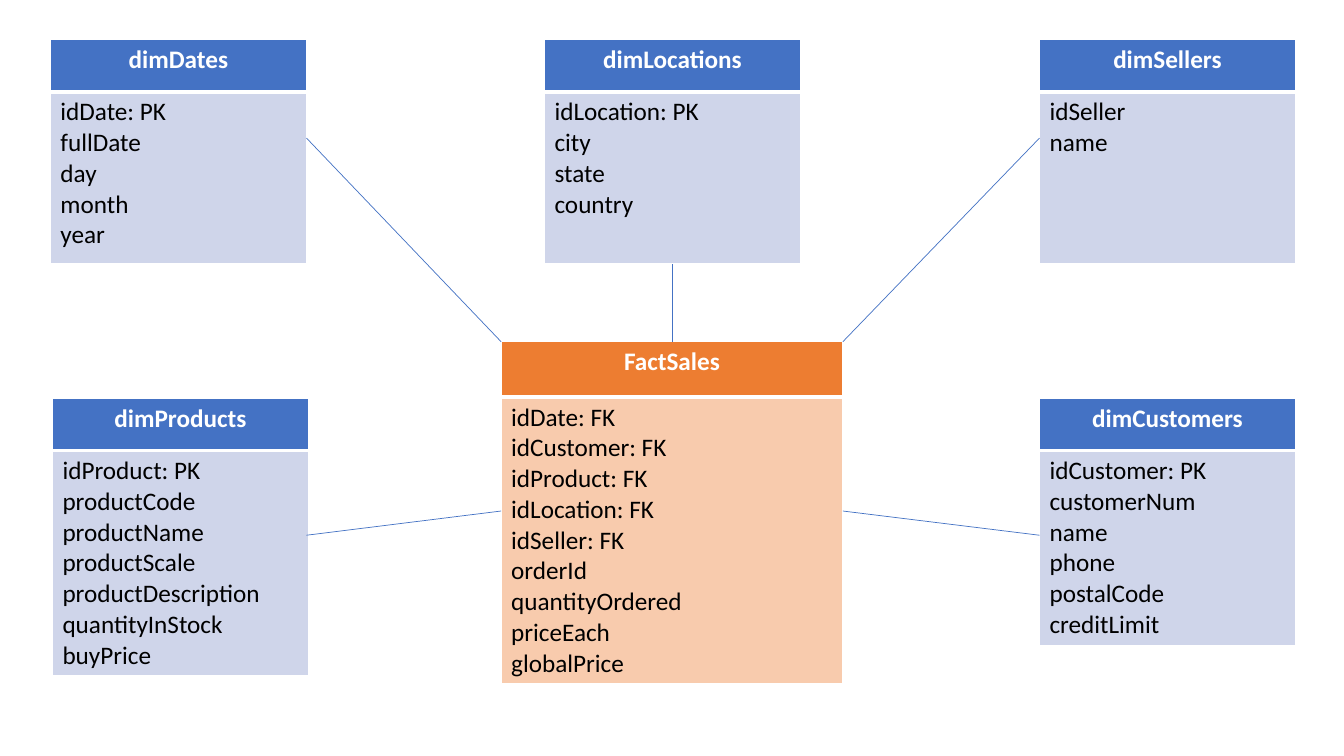
import dataclasses

import lxml.etree
import pptx
import pptx.dml.color
import pptx.enum.shapes
import pptx.enum.text
import pptx.oxml.ns
import pptx.util

Inches = pptx.util.Inches


@dataclasses.dataclass(frozen=True)
class Theme:
    """Hold the colours, font and sizes of the slide."""
    font: str = "Calibri"
    size: int = 18
    white: str = "FFFFFF"
    black: str = "000000"
    blue: str = "4472C4"
    pale: str = "CFD5EA"
    orange: str = "ED7D31"
    peach: str = "F8CBAD"
    thin: float = 1
    thick: float = 3
    link: float = 0.5


THEME = Theme()
WIDE = 2.54
LEFT, MID, RIGHT = 0.5, 5.4, 10.31
TOP, LOW = 0.39, 3.95
DIMS = [
    ("dimDates", (LEFT, TOP, WIDE, 2.23), ["idDate: PK", "fullDate", "day", "month", "year"]),
    ("dimLocations", (MID, TOP, WIDE, 2.23), ["idLocation: PK", "city", "state", "country"]),
    ("dimSellers", (RIGHT, TOP, WIDE, 2.23), ["idSeller", "name"]),
    ("dimCustomers", (RIGHT, LOW, WIDE, 2.42),
     ["idCustomer: PK", "customerNum", "name", "phone", "postalCode", "creditLimit"]),
    ("dimProducts", (0.52, LOW, WIDE, 2.72),
     ["idProduct: PK", "productCode", "productName", "productScale",
      "productDescription", "quantityInStock", "buyPrice"]),
]
FACT = (4.97, 3.39, 3.39, 3.35)
FIELDS = ["idDate: FK", "idCustomer: FK", "idProduct: FK", "idLocation: FK", "idSeller: FK",
          "orderId", "quantityOrdered", "priceEach", "globalPrice"]
LINKS = [
    ((LEFT + WIDE, 1.37), (4.97, 3.39)),
    ((6.67, 2.62), (6.67, 3.39)),
    ((RIGHT, 1.37), (8.36, 3.39)),
    ((LEFT + WIDE, 5.31), (4.97, 5.07)),
    ((RIGHT, 5.31), (8.36, 5.07)),
]


def rgb(code):
    """Turn a hex code into a colour."""
    return pptx.dml.color.RGBColor.from_string(code)


def add_node(base, tag, **attrs):
    """Append a drawing element with its attributes."""
    return lxml.etree.SubElement(base, pptx.oxml.ns.qn(tag), attrs)


def set_edges(cell, widths):
    """Draw white borders on the sides of a cell."""
    props = cell._tc.get_or_add_tcPr()
    for side, width in widths.items():
        edge = add_node(props, f"a:ln{side}", w=str(pptx.util.Pt(width)))
        fill = add_node(edge, "a:solidFill")
        add_node(fill, "a:srgbClr", val=THEME.white)


def fill_cell(cell, lines, fill, edges, align, style):
    """Write lines into a cell and format it."""
    set_edges(cell, edges)
    cell.fill.solid()
    cell.fill.fore_color.rgb = rgb(fill)
    frame = cell.text_frame
    frame.text = "\n".join(lines)
    looks = {"name": THEME.font, "size": pptx.util.Pt(THEME.size), "bold": style["bold"]}
    for para in frame.paragraphs:
        para.alignment = align
        font = para.runs[0].font
        for key, value in looks.items():
            setattr(font, key, value)
        font.color.rgb = rgb(style["ink"])


def add_card(slide, title, box, fields, head, fills):
    """Add a table with a title row and a row of fields."""
    grid = slide.shapes.add_table(2, 1, *map(Inches, box)).table
    grid.rows[0].height = Inches(head)
    grid.rows[1].height = Inches(box[3] - head)
    align = pptx.enum.text.PP_ALIGN
    edges = dict.fromkeys("LRTB", THEME.thin)
    fill_cell(grid.cell(0, 0), [title], fills[0], edges | {"B": THEME.thick},
              align.CENTER, {"bold": True, "ink": THEME.white})
    fill_cell(grid.cell(1, 0), fields, fills[1], edges | {"T": THEME.thick},
              align.LEFT, {"bold": False, "ink": THEME.black})


def add_link(slide, start, end):
    """Add a thin line between two points."""
    kind = pptx.enum.shapes.MSO_CONNECTOR.STRAIGHT
    link = slide.shapes.add_connector(kind, *map(Inches, start + end))
    link.line.color.rgb = rgb(THEME.blue)
    link.line.width = pptx.util.Pt(THEME.link)
    add_node(link._element.spPr, "a:effectLst")


def main():
    """Build the star schema slide and save it."""
    deck = pptx.Presentation()
    deck.slide_width, deck.slide_height = Inches(13.33), Inches(7.5)
    slide = deck.slides.add_slide(deck.slide_layouts[6])
    add_card(slide, "FactSales", FACT, FIELDS, 0.55, (THEME.orange, THEME.peach))
    for title, box, fields in DIMS:
        add_card(slide, title, box, fields, 0.52, (THEME.blue, THEME.pale))
    for start, end in LINKS:
        add_link(slide, start, end)
    deck.save("out.pptx")


if __name__ == "__main__":
    main()
